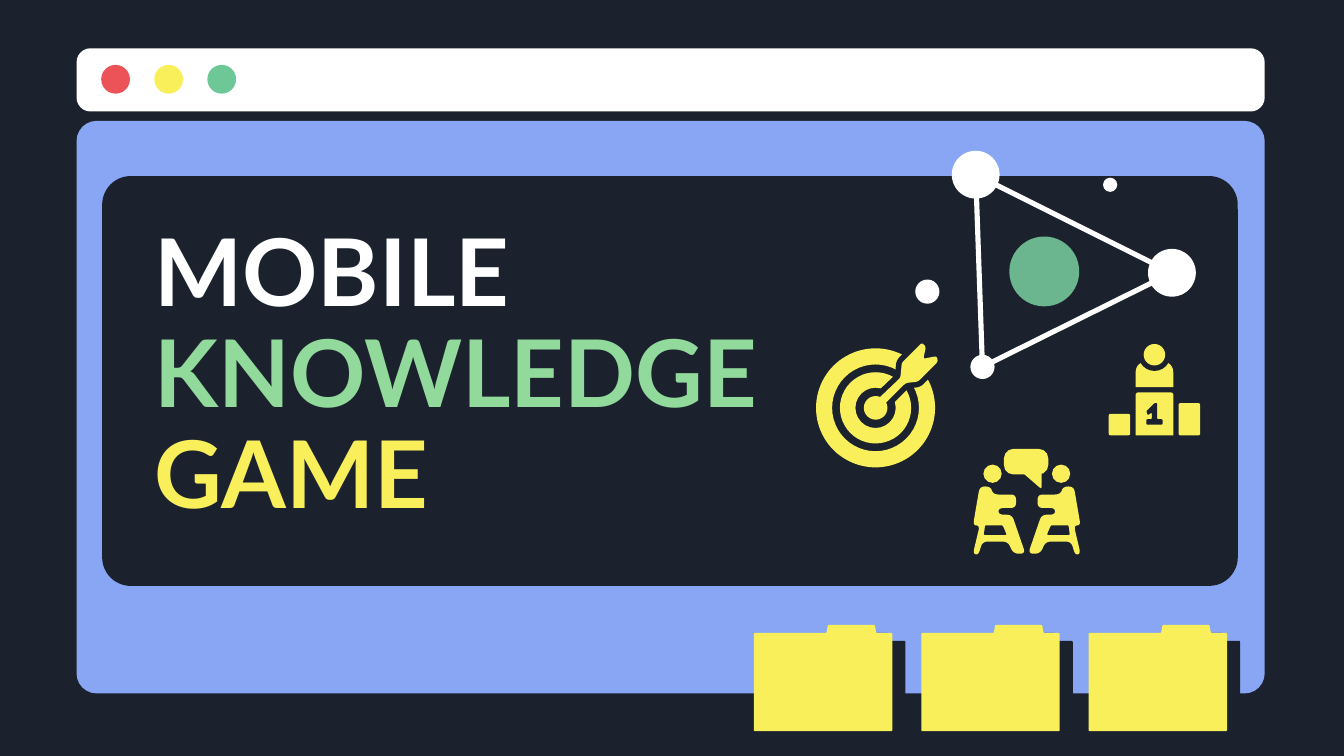
from lxml import etree
from pptx import Presentation
from pptx import util as u
from pptx.dml.color import RGBColor
from pptx.enum import shapes, text
from pptx.oxml.ns import qn

NAVY, BLUE, WHITE = "1B222D", "88A6F3", "FFFFFF"
YELLOW, RED, MINT = "F8EF5B", "EB5358", "6DC797"
GREEN, TITLE_GREEN = "6BB68E", "92D99C"
SHAPE = shapes.MSO_SHAPE


def length(inches):
    return u.Cm(inches * 2.54)


def color(hex_string):
    return RGBColor.from_string(hex_string)


def paint(shape, fill, line=None, line_width=0):
    shape.shadow.inherit = False
    shape.fill.solid()
    shape.fill.fore_color.rgb = color(fill)
    if line:
        shape.line.color.rgb = color(line)
        shape.line.width = u.Pt(line_width)
    else:
        shape.line.fill.background()
    return shape


def add_preset(slide, kind, box, fill, adjustment=None):
    shape = slide.shapes.add_shape(kind, *map(length, box))
    if adjustment is not None:
        shape.adjustments[0] = adjustment
    return paint(shape, fill)


def add_disc(slide, x, y, radius, fill):
    box = (x - radius, y - radius, 2 * radius, 2 * radius)
    return add_preset(slide, SHAPE.OVAL, box, fill)


def add_ring(slide, x, y, radius, thickness, fill):
    box = (x - radius, y - radius, 2 * radius, 2 * radius)
    return add_preset(slide, SHAPE.DONUT, box, fill, thickness / (2 * radius))


def round_corners(points, radius, steps=6):
    """Replace each corner by a short quadratic curve."""
    outline = []
    for i, (x, y) in enumerate(points):
        ends = []
        for px, py in (points[i - 1], points[(i + 1) % len(points)]):
            distance = ((px - x) ** 2 + (py - y) ** 2) ** 0.5
            share = min(radius / distance, 0.5)
            ends.append((x + (px - x) * share, y + (py - y) * share))
        (ax, ay), (bx, by) = ends
        for step in range(steps + 1):
            t = step / steps
            a, c, b = (1 - t) ** 2, 2 * t * (1 - t), t ** 2
            outline.append((a * ax + c * x + b * bx, a * ay + c * y + b * by))
    return outline


def add_outline(slide, points, fill, radius=0.01, **line):
    corners = [(length(x), length(y)) for x, y in round_corners(points, radius)]
    builder = slide.shapes.build_freeform(*corners[0])
    builder.add_line_segments(corners[1:], close=True)
    return paint(builder.convert_to_shape(), fill, **line)


def add_line(slide, start, end, line_color, width):
    ends = map(length, (*start, *end))
    line = slide.shapes.add_connector(shapes.MSO_CONNECTOR.STRAIGHT, *ends)
    line.line.color.rgb = color(line_color)
    line.line.width = u.Pt(width)
    etree.SubElement(line._element.spPr, qn("a:effectLst"))


def add_text(paragraph, words, *, size, fill, font="Lato", bold=False):
    run = paragraph.add_run()
    run.text = words
    run.font.name = font
    run.font.size = u.Pt(size)
    run.font.bold = bold
    run.font.color.rgb = color(fill)


def add_shadow(shape, fill, distance, degrees):
    effects = shape._element.spPr.find(qn("a:effectLst"))
    shadow = etree.SubElement(
        effects, qn("a:outerShdw"), dist=str(u.Pt(distance)),
        dir=str(degrees * 60000), algn="bl", rotWithShape="0")
    etree.SubElement(shadow, qn("a:srgbClr"), val=fill)


def draw_window(slide):
    add_preset(slide, SHAPE.ROUNDED_RECTANGLE, (0.57, 0.9, 8.84, 4.26), BLUE, 0.035)
    add_preset(slide, SHAPE.ROUNDED_RECTANGLE, (0.76, 1.31, 8.45, 3.05), NAVY, 0.07)
    add_preset(slide, SHAPE.ROUNDED_RECTANGLE, (0.57, 0.36, 8.84, 0.47), WHITE, 0.22)
    for i, fill in enumerate((RED, YELLOW, MINT)):
        add_disc(slide, 0.86 + 0.395 * i, 0.59, 0.107, fill)


def draw_title(slide):
    box = slide.shapes.add_textbox(*map(length, (1.05, 1.42, 5.18, 2.77)))
    frame = box.text_frame
    frame.word_wrap = True
    frame.vertical_anchor = text.MSO_ANCHOR.MIDDLE
    for side in ("left", "right", "top", "bottom"):
        setattr(frame, f"margin_{side}", length(0.1))
    paragraph = frame.paragraphs[0]
    paragraph.line_spacing = 0.9
    lines = (("MOBILE", WHITE), ("KNOWLEDGE", TITLE_GREEN), ("GAME", YELLOW))
    for i, (words, fill) in enumerate(lines):
        if i:
            paragraph.add_line_break()
        add_text(paragraph, words, size=50, fill=fill, bold=True)


def draw_network(slide):
    add_disc(slide, 7.77, 2.02, 0.26, GREEN)
    nodes = [(7.26, 1.3, 0.178), (8.72, 2.03, 0.178), (7.31, 2.73, 0.09)]
    for i, node in enumerate(nodes):
        add_line(slide, nodes[i - 1][:2], node[:2], WHITE, 2.75)
    for node in nodes + [(6.9, 2.17, 0.09), (8.26, 1.375, 0.053)]:
        add_disc(slide, *node, WHITE)


def draw_folders(slide):
    profile = [(0, 0.06), (0.54, 0.06), (0.55, 0), (0.9, 0), (0.91, 0.06),
               (1.03, 0.06), (1.03, 0.79), (0, 0.79)]
    for i in range(3):
        left = 5.61 + 1.245 * i
        folder = add_outline(slide, [(left + x, 4.65 + y) for x, y in profile], YELLOW)
        add_shadow(folder, NAVY, 8.2, 31)


def draw_target(slide):
    x, y = 6.515, 3.035
    add_ring(slide, x, y, 0.443, 0.12, YELLOW)
    add_ring(slide, x, y, 0.265, 0.115, YELLOW)
    dart = [(6.49, 3.01), (6.7, 2.81), (6.71, 2.7), (6.86, 2.55), (6.89, 2.58),
            (6.87, 2.67), (6.97, 2.65), (6.98, 2.69), (6.83, 2.84),
            (6.74, 2.85), (6.54, 3.05)]
    add_outline(slide, dart, NAVY, 0.02, line=NAVY, line_width=6)
    add_outline(slide, dart, YELLOW, 0.02)
    add_disc(slide, x, y, 0.088, YELLOW)


def draw_conversation(slide):
    add_preset(slide, SHAPE.ROUNDED_RECTANGLE, (7.47, 3.34, 0.33, 0.19), YELLOW, 0.37)
    add_outline(slide, [(7.6, 3.51), (7.75, 3.48), (7.75, 3.64)], YELLOW, 0.02)
    body = [(7.29, 3.62), (7.37, 3.62), (7.39, 3.68), (7.56, 3.68), (7.56, 3.78),
            (7.43, 3.78), (7.43, 3.83), (7.53, 3.83), (7.63, 4.12), (7.54, 4.12),
            (7.5, 4.03), (7.31, 4.03), (7.28, 4.13), (7.24, 4.12),
            (7.29, 3.91), (7.24, 3.91)]
    seat_gap = [(7.33, 3.91), (7.46, 3.91), (7.49, 3.98), (7.32, 3.98)]
    middle = 7.64
    for side in (1, -1):
        def place(points):
            return [(middle + side * (x - middle), y) for x, y in points]
        add_disc(slide, middle - side * 0.255, 3.525, 0.068, YELLOW)
        add_outline(slide, place(body), YELLOW, 0.04)
        add_outline(slide, place(seat_gap), NAVY)


def draw_podium(slide):
    add_preset(slide, SHAPE.ROUND_2_SAME_RECTANGLE, (8.45, 2.69, 0.28, 0.19), YELLOW, 0.4)
    add_disc(slide, 8.59, 2.64, 0.12, NAVY)
    add_disc(slide, 8.59, 2.64, 0.08, YELLOW)
    add_preset(slide, SHAPE.ROUND_2_SAME_RECTANGLE, (8.45, 2.92, 0.28, 0.32), YELLOW, 0.06)
    for box in ((8.25, 3.08, 0.16, 0.16), (8.77, 3, 0.16, 0.24)):
        add_preset(slide, SHAPE.ROUNDED_RECTANGLE, box, YELLOW, 0.08)
    numeral = [(8.59, 3), (8.61, 3), (8.61, 3.12), (8.65, 3.12), (8.65, 3.16),
               (8.53, 3.16), (8.53, 3.12), (8.57, 3.12), (8.57, 3.07),
               (8.54, 3.09), (8.53, 3.06)]
    add_outline(slide, numeral, NAVY)


def main():
    presentation = Presentation()
    presentation.slide_width = length(10)
    presentation.slide_height = length(5.625)
    slide = presentation.slides.add_slide(presentation.slide_layouts[6])
    slide.background.fill.solid()
    slide.background.fill.fore_color.rgb = color(NAVY)
    for draw in (draw_window, draw_network, draw_title, draw_folders,
                 draw_conversation, draw_target, draw_podium):
        draw(slide)
    presentation.save("out.pptx")


if __name__ == "__main__":
    main()
